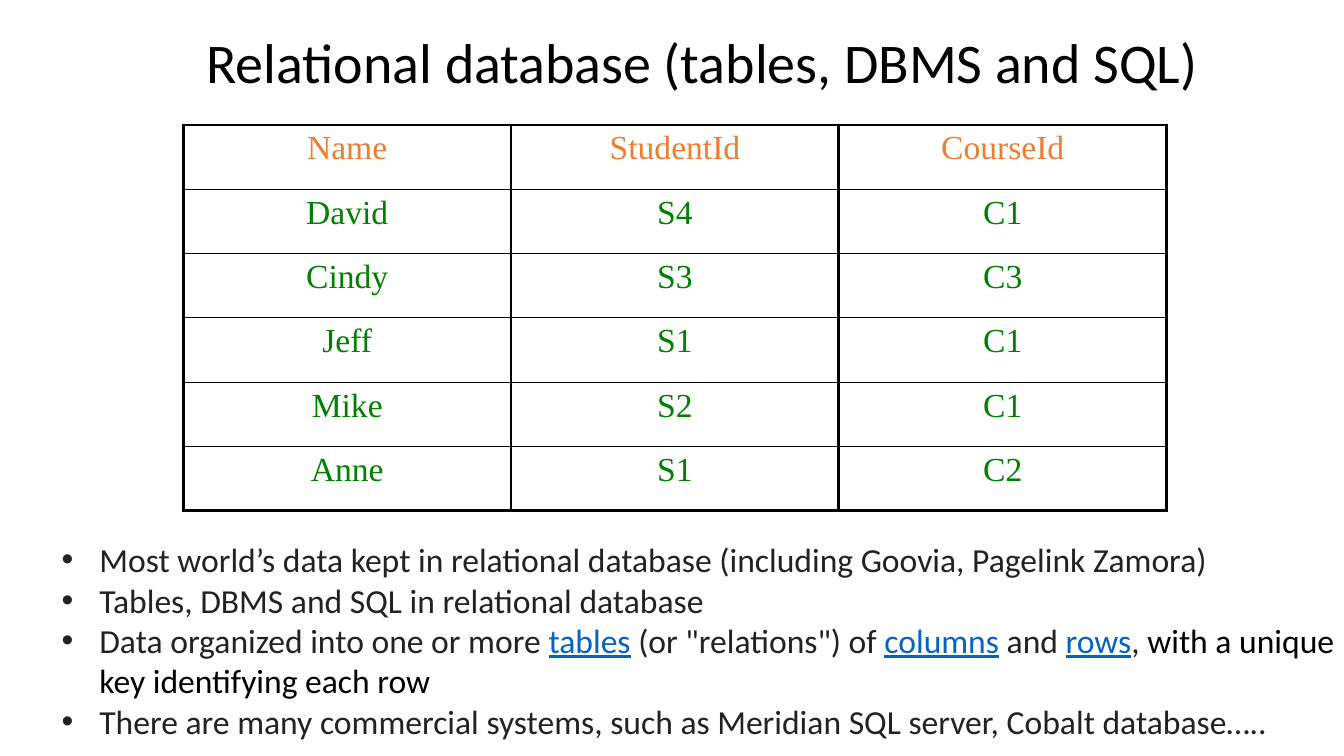
from lxml.etree import SubElement
from pptx import Presentation
from pptx.dml.color import RGBColor
from pptx.enum.text import MSO_ANCHOR as Anchor, MSO_AUTO_SIZE as AutoSize, PP_ALIGN as Align
from pptx.oxml.ns import qn
from pptx.util import Cm, Pt

BLACK, GREY, LINK, ORANGE, GREEN = "000000", "222222", "0563C1", "ED7D31", "008000"

HEADING = "Relational database (tables, DBMS and SQL)"
ENROLMENTS = [
    ("Name", "StudentId", "CourseId"),
    ("David", "S4", "C1"),
    ("Cindy", "S3", "C3"),
    ("Jeff", "S1", "C1"),
    ("Mike", "S2", "C1"),
    ("Anne", "S1", "C2"),
]
POINTS = [
    [("Most world’s data kept in relational database (including Goovia, Pagelink Zamora)", GREY)],
    [("Tables, DBMS and SQL in relational database", GREY)],
    [
        ("Data organized into one or more\u00a0", GREY),
        ("tables", LINK),
        ("\u00a0(or \"relations\") of\u00a0", GREY),
        ("columns", LINK),
        ("\u00a0and\u00a0", GREY),
        ("rows", LINK),
        (",", GREY),
        (" with a unique key identifying each row", BLACK),
    ],
    [("There are many commercial systems, such as Meridian SQL server, Cobalt database…..", GREY)],
]

COLUMN_WIDTH, ROW_HEIGHT = Cm(8.26), Cm(1.62)
THICK, THIN = Pt(2.25), Pt(1)
HANGING = Cm(0.95)


def rgb(value):
    return RGBColor.from_string(value)


def add_run(paragraph, text, size, font, color):
    run = paragraph.add_run()
    run.text = text
    run.font.size = Pt(size)
    run.font.name = font
    run.font.color.rgb = rgb(color)
    if color == LINK:
        run.font.underline = True


def place(placeholder, left, top, width, height, wrap):
    placeholder.left, placeholder.top = Cm(left), Cm(top)
    placeholder.width, placeholder.height = Cm(width), Cm(height)
    frame = placeholder.text_frame
    frame.auto_size = AutoSize.NONE
    frame.word_wrap = wrap
    frame.vertical_anchor = Anchor.TOP
    return frame


def add_borders(cell, top, bottom):
    properties = cell._tc.get_or_add_tcPr()
    for side, width in (("L", THICK), ("R", THICK), ("T", top), ("B", bottom)):
        border = SubElement(properties, qn("a:ln" + side), w=str(width))
        fill = SubElement(border, qn("a:solidFill"))
        SubElement(fill, qn("a:srgbClr"), val=BLACK)


def add_enrolments(slide):
    row_count, column_count = len(ENROLMENTS), len(ENROLMENTS[0])
    table = slide.shapes.add_table(
        row_count, column_count, Cm(4.62), Cm(3.15),
        COLUMN_WIDTH * column_count, ROW_HEIGHT * row_count,
    ).table
    table.first_row = table.horz_banding = False
    for column in table.columns:
        column.width = COLUMN_WIDTH
    for i, record in enumerate(ENROLMENTS):
        table.rows[i].height = ROW_HEIGHT
        for j, entry in enumerate(record):
            cell = table.cell(i, j)
            add_borders(cell, THIN if i else THICK, THIN if i < row_count - 1 else THICK)
            cell.fill.background()
            paragraph = cell.text_frame.paragraphs[0]
            paragraph.alignment = Align.CENTER
            add_run(paragraph, entry, 24, "Times New Roman", GREEN if i else ORANGE)


def add_points(frame):
    for i, point in enumerate(POINTS):
        paragraph = frame.add_paragraph() if i else frame.paragraphs[0]
        properties = paragraph._p.get_or_add_pPr()
        properties.set("marL", str(HANGING))
        properties.set("indent", str(-HANGING))
        paragraph.space_before = Pt(0)
        for text, color in point:
            add_run(paragraph, text, 24, "Calibri", color)


def main():
    deck = Presentation()
    deck.slide_width, deck.slide_height = Cm(33.87), Cm(19.05)
    slide = deck.slides.add_slide(deck.slide_layouts[1])
    title, body = slide.placeholders

    heading = place(title, 4.95, 0.56, 26.06, 1.96, False).paragraphs[0]
    heading.alignment = Align.LEFT
    add_run(heading, HEADING, 40, "Calibri", BLACK)

    add_enrolments(slide)
    add_points(place(body, 1.3, 13.46, 32.72, 5.59, True))
    deck.save("out.pptx")


if __name__ == "__main__":
    main()
